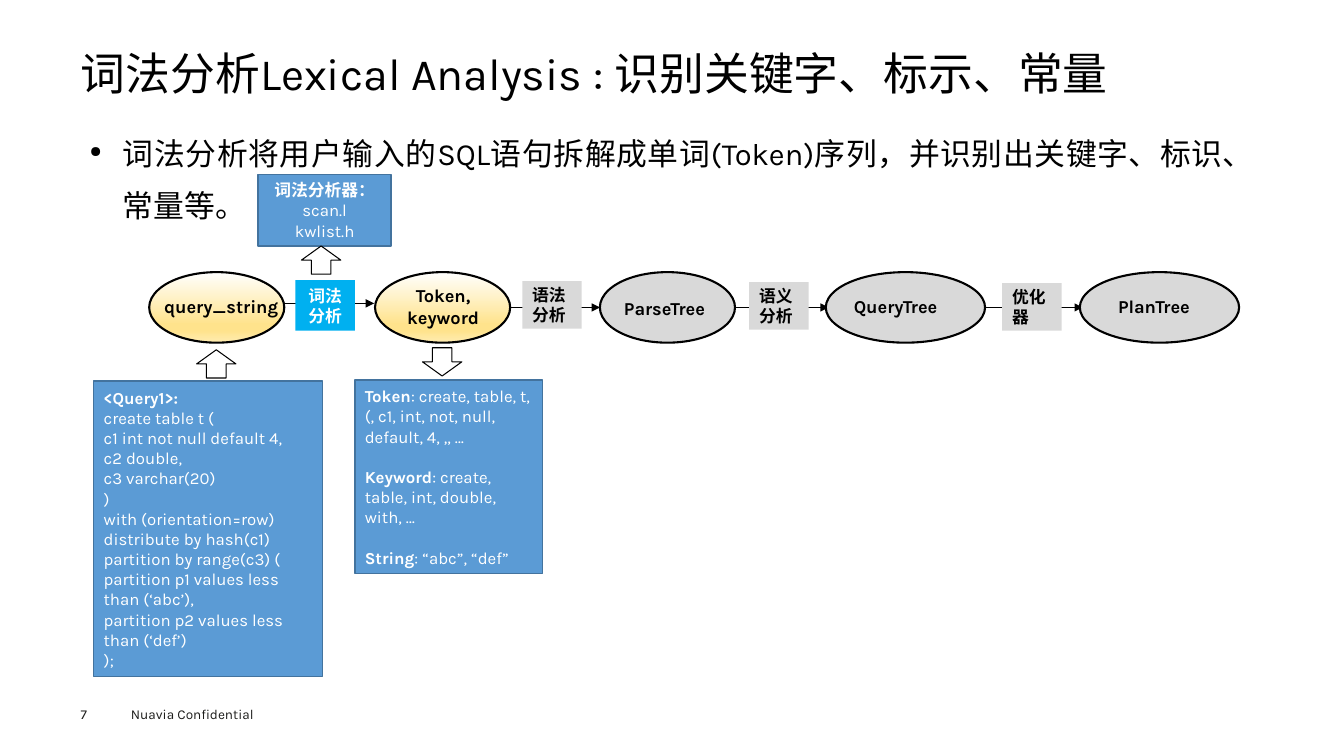
"""Build the slide that explains lexical analysis in the SQL parsing pipeline."""
from lxml.etree import SubElement
from pptx import Presentation
from pptx.dml.color import RGBColor
from pptx.enum.shapes import MSO_CONNECTOR, MSO_SHAPE
from pptx.enum.text import MSO_ANCHOR as ANCHOR, PP_ALIGN as ALIGN
from pptx.oxml.ns import qn
from pptx.util import Inches, Pt

COLORS = {
    "black": "000000", "white": "FFFFFF", "footer": "1D1D1B",
    "grey": "D9D9D9", "blue": "5B9BD5", "blue_edge": "43739E", "cyan": "00B0F0",
}
GOLD_STOPS = [(0, "FFFFFF"), (74, "FFE38C"), (83, "FFE38C"), (100, "FFECB2")]
FONT = "Karla"


def write_text(shape, paragraphs, size=12, color="black", bold=False, align=ALIGN.LEFT,
               anchor=ANCHOR.MIDDLE, margins=(0.1, 0.05), line_spacing=None, gap=0, bullet=None):
    """Fill a shape with paragraphs; a tuple holds a bold lead and a plain rest."""
    frame = shape.text_frame
    frame.word_wrap = True
    frame.vertical_anchor = anchor
    frame.margin_left = frame.margin_right = Inches(margins[0])
    frame.margin_top = frame.margin_bottom = Inches(margins[1])
    for index, content in enumerate(paragraphs):
        paragraph = frame.add_paragraph() if index else frame.paragraphs[0]
        paragraph.alignment = align
        if line_spacing:
            paragraph.line_spacing = line_spacing
        if index and gap:
            paragraph.space_before = Pt(gap)
        if bullet:
            properties = paragraph._p.get_or_add_pPr()
            properties.set("marL", str(Inches(0.33)))
            properties.set("indent", str(-Inches(0.33)))
            SubElement(properties, qn("a:buSzPct")).set("val", "50000")
            SubElement(properties, qn("a:buChar")).set("char", bullet)
        parts = zip(content, (True, False)) if isinstance(content, tuple) else [(content, bold)]
        for text, is_bold in parts:
            run = paragraph.add_run()
            run.text = text
            run.font.name = FONT
            run.font.size = Pt(size)
            run.font.bold = is_bold
            run.font.color.rgb = RGBColor.from_string(COLORS[color])


def add_block(kind, left, top, width, height, fill=None, line=None, line_width=1):
    """Add a preset shape without shadow; no fill or line unless named."""
    shape = slide.shapes.add_shape(kind, Inches(left), Inches(top), Inches(width), Inches(height))
    shape.shadow.inherit = False
    if fill == "gold":
        shape.fill.gradient()
        shape.fill.gradient_angle = 270
        stops = shape._element.spPr.find(".//" + qn("a:gsLst"))
        stops.clear()
        for position, color in GOLD_STOPS:
            stop = SubElement(stops, qn("a:gs"))
            stop.set("pos", str(position * 1000))
            SubElement(stop, qn("a:srgbClr")).set("val", color)
    elif fill:
        shape.fill.solid()
        shape.fill.fore_color.rgb = RGBColor.from_string(COLORS[fill])
    else:
        shape.fill.background()
    if line:
        shape.line.color.rgb = RGBColor.from_string(COLORS[line])
        shape.line.width = Pt(line_width)
    else:
        shape.line.fill.background()
    return shape


presentation = Presentation()
presentation.slide_width = Inches(13.33)
presentation.slide_height = Inches(7.5)
slide = presentation.slides.add_slide(presentation.slide_layouts[6])

for start, end, y in [(2.81, 3.71, 3.01), (5.05, 5.95, 3.05), (7.25, 8.22, 3.05), (9.77, 10.74, 3.05)]:
    connector = slide.shapes.add_connector(
        MSO_CONNECTOR.STRAIGHT, Inches(start), Inches(y), Inches(end), Inches(y))
    connector.line.color.rgb = RGBColor.from_string(COLORS["black"])
    connector.line.width = Pt(0.5)
    SubElement(connector.line._get_or_add_ln(), qn("a:tailEnd")).set("type", "triangle")
    SubElement(connector._element.spPr, qn("a:effectLst"))

states = [
    (1.48, 1.34, "gold", ["query_string"], (1.53, 2.88, 1.37, 0.32), ALIGN.LEFT),
    (3.72, 1.34, "gold", ["Token,", "keyword"], (3.83, 2.77, 1.13, 0.54), ALIGN.CENTER),
    (5.95, 1.34, "grey", ["ParseTree"], (6.09, 2.9, 1.15, 0.32), ALIGN.LEFT),
    (8.19, 1.58, "grey", ["QueryTree"], (8.37, 2.88, 1.34, 0.32), ALIGN.LEFT),
    (10.71, 1.58, "grey", ["PlanTree"], (10.99, 2.88, 1.08, 0.32), ALIGN.LEFT),
]
for left, width, fill, label, label_box, align in states:
    add_block(MSO_SHAPE.OVAL, left, 2.7, width, 0.7, fill, "black", 1.5)
    textbox = slide.shapes.add_textbox(*map(Inches, label_box))
    write_text(textbox, label, size=13, bold=True, align=align, anchor=ANCHOR.TOP)

steps = [
    ("词法分析", 2.93, 2.78, 0.5, "cyan", "white", ALIGN.CENTER),
    ("语法分析", 5.18, 2.79, 0.47, "grey", "black", ALIGN.LEFT),
    ("语义分析", 7.43, 2.8, 0.47, "grey", "black", ALIGN.LEFT),
    ("优化器", 9.94, 2.81, 0.47, "grey", "black", ALIGN.LEFT),
]
for label, left, top, height, fill, color, align in steps:
    step = add_block(MSO_SHAPE.RECTANGLE, left, top, 0.59, height, fill)
    write_text(step, [label], color=color, bold=True, align=align)

query_lines = [
    ("<Query1>:", ""), "create table t (", "c1 int not null default 4,", "c2 double,",
    "c3 varchar(20)", ")", "with (orientation=row)", "distribute by hash(c1)",
    "partition by range(c3) (", "partition p1 values less than (‘abc’),",
    "partition p2 values less than (‘def’)", ");",
]
query_lines[0] = query_lines[0][:1]
token_lines = [
    ("Token", ": create, table, t, (, c1, int, not, null, default, 4, ,, …"),
    ("Keyword", ": create, table, int, double, with, …"),
    ("String", ": “abc”, “def”"),
]
scanner_lines = [("词法分析器：",), "scan.l", "kwlist.h"]
notes = [
    (query_lines, (0.93, 3.78, 2.27, 2.93), ALIGN.LEFT, 0),
    (token_lines, (3.52, 3.77, 1.86, 1.92), ALIGN.LEFT, 14.5),
    (scanner_lines, (2.56, 1.73, 1.32, 0.71), ALIGN.CENTER, 0),
]
for lines, box, align, gap in notes:
    note = add_block(MSO_SHAPE.RECTANGLE, *box, "blue", "blue_edge")
    write_text(note, lines, color="white", align=align, gap=gap)

for left, top, rotation in [(1.95, 3.47, 180), (4.19, 3.45, 0), (2.99, 2.44, 180)]:
    arrow = add_block(MSO_SHAPE.DOWN_ARROW, left, top, 0.39, 0.28, line="black", line_width=0.75)
    arrow.rotation = rotation

texts = [
    ("词法分析Lexical Analysis : 识别关键字、标示、常量", (0.8, 0.49, 11.73, 0.53),
     dict(size=32, margins=(0, 0), line_spacing=0.9)),
    ("词法分析将用户输入的SQL语句拆解成单词(Token)序列，并识别出关键字、标识、常量等。",
     (0.8, 1.15, 11.73, 5.34),
     dict(size=22, align=ALIGN.JUSTIFY, anchor=ANCHOR.TOP, margins=(0.09, 0.04),
          line_spacing=1.4, bullet="●")),
    ("Nuavia Confidential", (1.2, 6.95, 1.6, 0.27), dict(size=9.7, color="footer")),
    ("7", (0.8, 7, 0.55, 0.16), dict(size=9.7, color="footer", margins=(0, 0))),
]
for text, box, text_format in texts:
    write_text(slide.shapes.add_textbox(*map(Inches, box)), [text], **text_format)

presentation.save("out.pptx")
